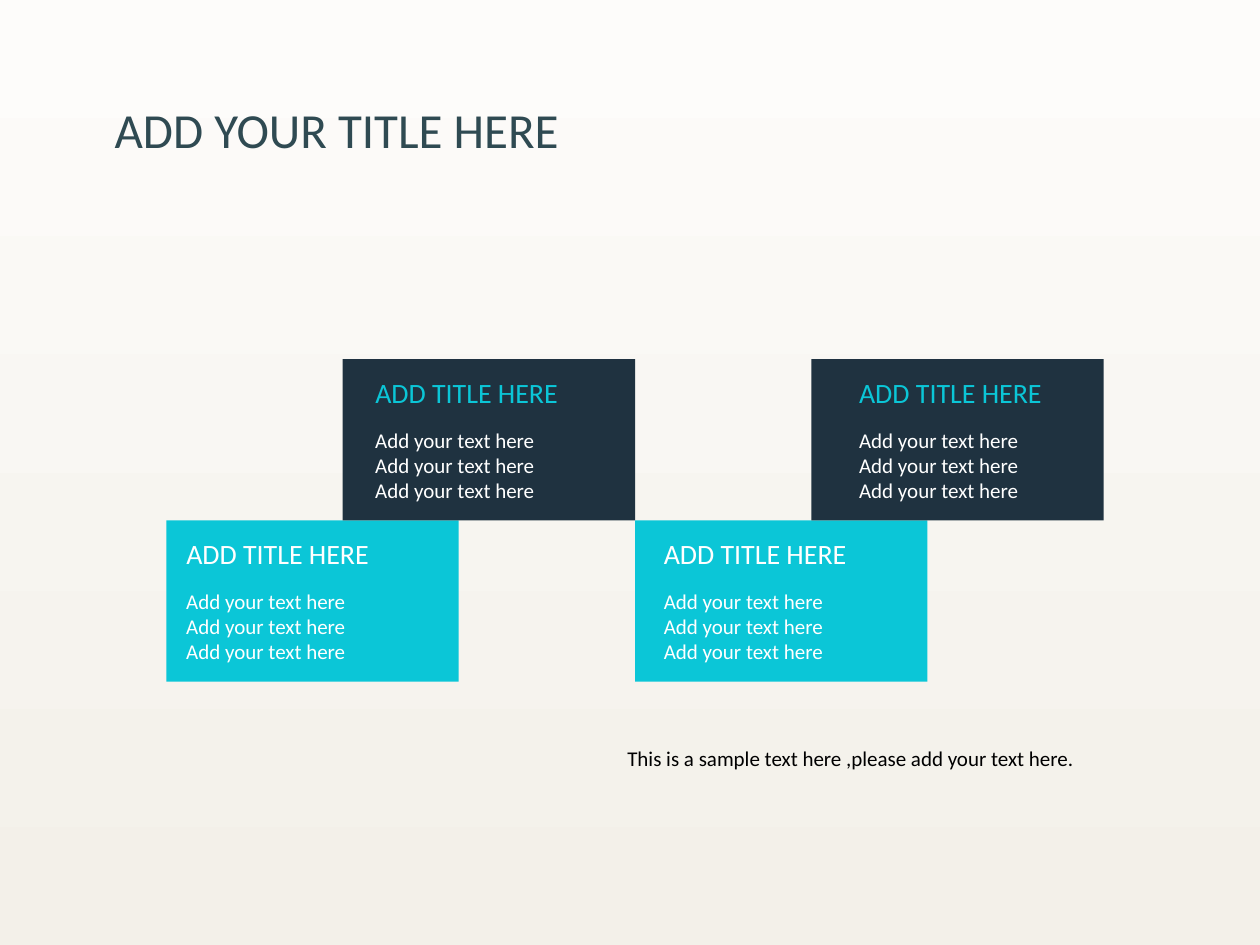
from pptx import Presentation
from pptx.dml.color import RGBColor
from pptx.enum.shapes import MSO_SHAPE
from pptx.enum.text import MSO_ANCHOR, MSO_AUTO_SIZE, PP_ALIGN
from pptx.util import Inches, Pt

FONT = "Calibri"
CYAN = RGBColor(0x0B, 0xC6, 0xD7)
NAVY = RGBColor(0x1F, 0x32, 0x40)
SLATE = RGBColor(0x2F, 0x4A, 0x52)
WHITE = RGBColor(0xFF, 0xFF, 0xFF)
BLACK = RGBColor(0, 0, 0)
SAND = RGBColor(0xF3, 0xF0, 0xE9)
CREAM = RGBColor(0xFD, 0xFC, 0xFA)

# Content
TITLE = "ADD YOUR TITLE HERE"
NOTE = "This is a sample text here ,please add your text here."
HEAD = "ADD TITLE HERE"
LINES = ["Add your text here"] * 3
# Cards: heading, lines, row, text indent
CARDS = [
    (HEAD, LINES, 1, 0.06),
    (HEAD, LINES, 0, 0.16),
    (HEAD, LINES, 1, 0.13),
    (HEAD, LINES, 0, 0.28),
]
# Fill and heading colour of each row
ROWS = [(NAVY, CYAN), (CYAN, WHITE)]

# Grid: pairs of cards repeat across, the upper one shifted right
LEFT, TOP = 1.32, 2.85
WIDE, HIGH = 2.32, 1.28
SHIFT, PAIR = 1.4, 3.72


def write(shape, lines, size=12, color=BLACK):
    frame = shape.text_frame
    frame.word_wrap = True
    frame.auto_size = MSO_AUTO_SIZE.NONE
    frame.vertical_anchor = MSO_ANCHOR.TOP
    frame.text = "\n".join(lines)
    for para in frame.paragraphs:
        para.alignment = PP_ALIGN.LEFT
        para.font.name = FONT
        para.font.size = Pt(size)
        para.font.color.rgb = color


def box(shapes, x, y, w, h):
    return shapes.add_textbox(Inches(x), Inches(y), Inches(w), Inches(h))


def main():
    deck = Presentation()
    deck.slide_width, deck.slide_height = Inches(10), Inches(7.5)
    slide = deck.slides.add_slide(deck.slide_layouts[5])
    shapes = slide.shapes

    # Background, darker towards the bottom
    fill = slide.background.fill
    fill.gradient()
    fill.gradient_angle = 90
    for stop, color in zip(fill.gradient_stops, (SAND, CREAM)):
        stop.color.rgb = color

    # Title
    title = shapes.title
    title.left, title.top = Inches(0.81), Inches(0.74)
    title.width, title.height = Inches(3.78), Inches(0.57)
    write(title, [TITLE], size=28, color=SLATE)

    # Staggered cards and their text
    group = shapes.add_group_shape().shapes
    spots = []
    for i, (head, lines, row, indent) in enumerate(CARDS):
        x = LEFT + i // 2 * PAIR + i % 2 * SHIFT
        y = TOP + row * HIGH
        card = group.add_shape(MSO_SHAPE.RECTANGLE, Inches(x), Inches(y),
                               Inches(WIDE), Inches(HIGH))
        card.shadow.inherit = False
        card.fill.solid()
        card.fill.fore_color.rgb = ROWS[row][0]
        card.line.fill.background()
        spots.append((x + indent, y, head, lines, ROWS[row][1]))
    for x, y, head, lines, color in spots:
        write(box(group, x, y + 0.08, 1.88, 0.37), [head], size=16, color=color)
        write(box(group, x, y + 0.49, 2, 0.71), lines, color=WHITE)

    # Note below the cards
    write(box(group, 4.88, 5.87, 4.01, 0.3), [NOTE])

    deck.save("out.pptx")


if __name__ == "__main__":
    main()
